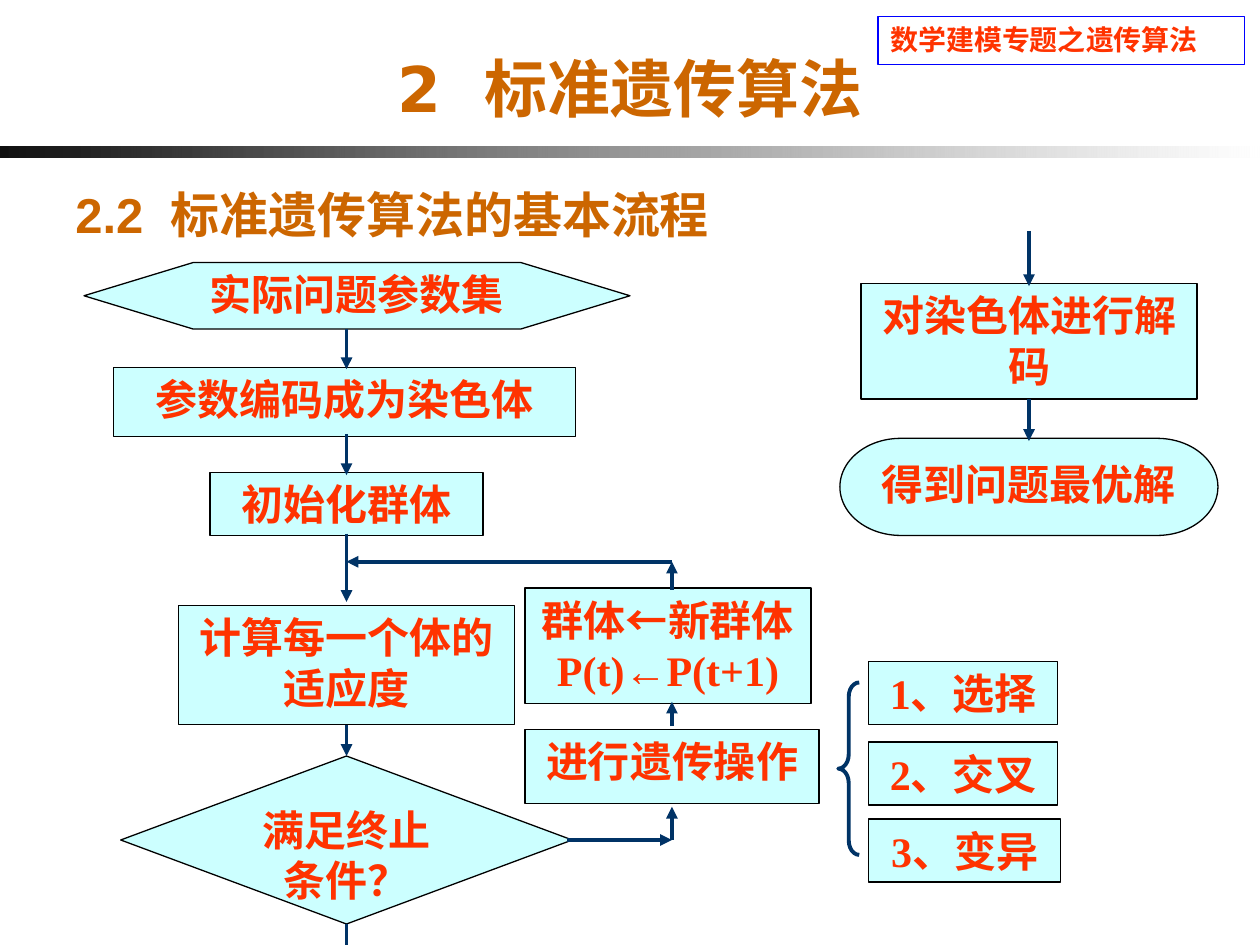
"""Build the slide showing the basic flow of the standard genetic algorithm."""
import pptx
import pptx.dml.color
import pptx.enum.shapes
import pptx.enum.text
import pptx.oxml
import pptx.oxml.ns
import pptx.util

Pt = pptx.util.Pt
RGB = pptx.dml.color.RGBColor.from_string
SHAPE = pptx.enum.shapes.MSO_SHAPE
ALIGN = pptx.enum.text.PP_ALIGN
ANCHOR = pptx.enum.text.MSO_ANCHOR
COLORS = {
    "bar": "080808",
    "white": "FFFFFF",
    "frame": "0000FF",
    "heading": "CC6600",
    "text": "FF3300",
    "box": "CCFFFF",
    "outline": "000000",
    "arrow": "003366",
}


def write(frame, *paragraphs, size=24, color="text", align=ALIGN.CENTER, anchor=ANCHOR.TOP):
    """Write paragraphs given as lists of (text, font, letter spacing) pieces."""
    frame.word_wrap = True
    frame.vertical_anchor = anchor
    for index, pieces in enumerate(paragraphs):
        paragraph = frame.paragraphs[0] if index == 0 else frame.add_paragraph()
        paragraph.alignment = align
        for text, font_name, spacing in pieces:
            run = paragraph.add_run()
            run.text = text
            run.font.name = font_name
            run.font.size = Pt(size)
            run.font.bold = True
            run.font.color.rgb = RGB(COLORS[color])
            if spacing:
                run.font._element.set("spc", str(round(spacing * 100)))


def add_shape(kind, left, top, width, height, fill=None, line="outline", weight=0.75):
    """Add a preset shape without shadow."""
    shape = slide.shapes.add_shape(kind, Pt(left), Pt(top), Pt(width), Pt(height))
    shape.shadow.inherit = False
    if fill:
        shape.fill.solid()
        shape.fill.fore_color.rgb = RGB(COLORS[fill])
    else:
        shape.fill.background()
    if line:
        shape.line.color.rgb = RGB(COLORS[line])
        shape.line.width = Pt(weight)
    else:
        shape.line.fill.background()
    return shape


presentation = pptx.Presentation()
presentation.slide_width = Pt(720)
presentation.slide_height = Pt(540)
slide = presentation.slides.add_slide(presentation.slide_layouts[6])

bar = add_shape(SHAPE.RECTANGLE, 0, 84, 720, 6, line=None)
bar.fill.gradient()
bar.fill.gradient_angle = 0
for stop, position, color, alpha in zip(bar.fill.gradient_stops, (0, 1), ("bar", "white"), (97, 70)):
    stop.position = position
    stop.color.rgb = RGB(COLORS[color])
    opacity = pptx.oxml.parse_xml(
        f'<a:alpha {pptx.oxml.ns.nsdecls("a")} val="{alpha * 1000}"/>')
    stop._gs[0].append(opacity)

course = add_shape(SHAPE.RECTANGLE, 501.8, 9.4, 209.5, 27.4, line="frame")
write(course.text_frame, [("数学建模专题之", "Lato", 0), ("遗传算法", "Arial", 0)],
      size=16, align=ALIGN.LEFT)

title = slide.shapes.add_textbox(Pt(48), Pt(12), Pt(624), Pt(76))
write(title.text_frame,
      [("2", "DejaVu Sans", 0), (" ", "DejaVu Sans", 12.5), ("标准遗传算法", "DejaVu Sans", 0)],
      size=36, color="heading", anchor=ANCHOR.MIDDLE)

heading = slide.shapes.add_textbox(Pt(36), Pt(102), Pt(564), Pt(44.5))
write(heading.text_frame,
      [("2.2", "Arial", 0), (" ", "Arial", 7.8), ("标准遗传算法的基本流程", "DejaVu Sans", 0)],
      size=28, color="heading", align=ALIGN.LEFT)

steps = [
    (SHAPE.FLOWCHART_PREPARATION, 48, 150, 312, 38, "实际问题参数集"),
    (SHAPE.FLOWCHART_PROCESS, 65, 210, 264, 39.5, "参数编码成为染色体"),
    (SHAPE.FLOWCHART_PROCESS, 120, 270, 156, 36, "初始化群体"),
    (SHAPE.FLOWCHART_PROCESS, 102, 346, 192, 68, "计算每一个体的适应度"),
    (SHAPE.FLOWCHART_PROCESS, 492, 162, 192, 66, "对染色体进行解码"),
    (SHAPE.FLOWCHART_DECISION, 69, 432, 258, 96, "满足终止条件？"),
    (SHAPE.FLOWCHART_TERMINATOR, 480, 250.5, 216, 55.5, "得到问题最优解"),
    (SHAPE.FLOWCHART_PROCESS, 300, 417, 168, 42, "进行遗传操作"),
    (SHAPE.FLOWCHART_PROCESS, 300, 336, 163.5, 66, "群体←新群体", "P(t)←P(t+1)"),
    (SHAPE.RECTANGLE, 496.5, 378, 108, 36, "1、选择"),
    (SHAPE.RECTANGLE, 496.5, 424, 108, 36, "2、交叉"),
    (SHAPE.RECTANGLE, 496.5, 468, 109.5, 36, "3、变异"),
]
for kind, left, top, width, height, *lines in steps:
    step = add_shape(kind, left, top, width, height, fill="box")
    write(step.text_frame, *[[(line, "Times New Roman", 0)] for line in lines])

brace = add_shape(SHAPE.LEFT_BRACE, 479, 390, 12, 98.5, line="arrow", weight=2.25)
brace.adjustments[0] = 0.68
brace.adjustments[1] = 0.5

arrows = [
    (198, 188, 198, 211, True),
    (198, 248, 198, 271.5, True),
    (198, 305, 198, 344, True),
    (198, 414, 198, 432, True),
    (198, 528, 198, 540, False),
    (588, 132, 588, 163.5, True),
    (588, 228, 588, 252, True),
    (324, 480, 384, 480, True),
    (384, 480, 384, 461, True),
    (384, 415, 384, 401, True),
    (384, 337, 384, 321, True),
    (384, 321, 198, 321, True),
]
for start_x, start_y, end_x, end_y, has_head in arrows:
    connector = slide.shapes.add_connector(
        pptx.enum.shapes.MSO_CONNECTOR.STRAIGHT, Pt(start_x), Pt(start_y), Pt(end_x), Pt(end_y))
    connector.line.color.rgb = RGB(COLORS["arrow"])
    connector.line.width = Pt(2.25)
    if has_head:
        connector.line._get_or_add_ln().append(pptx.oxml.parse_xml(
            f'<a:tailEnd {pptx.oxml.ns.nsdecls("a")} type="triangle"/>'))
    connector._element.spPr.append(pptx.oxml.parse_xml(
        f'<a:effectLst {pptx.oxml.ns.nsdecls("a")}/>'))

presentation.save("out.pptx")
